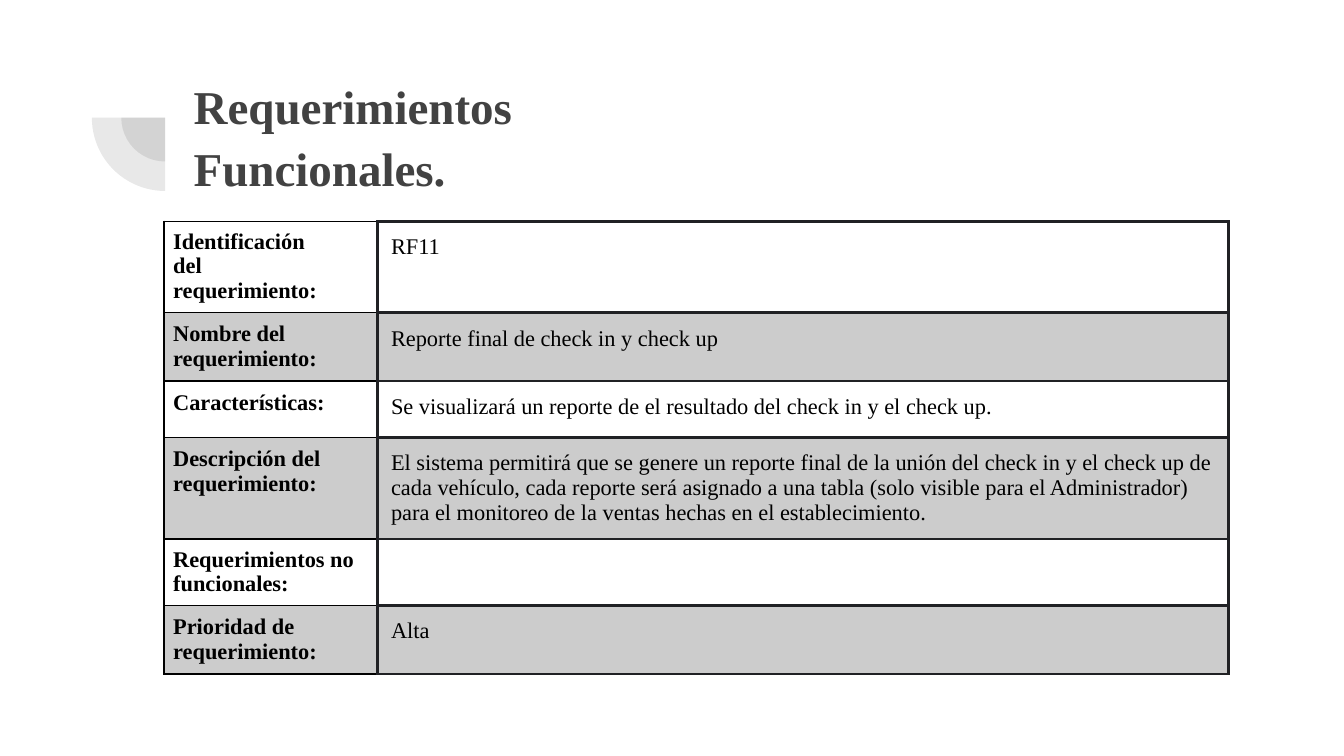
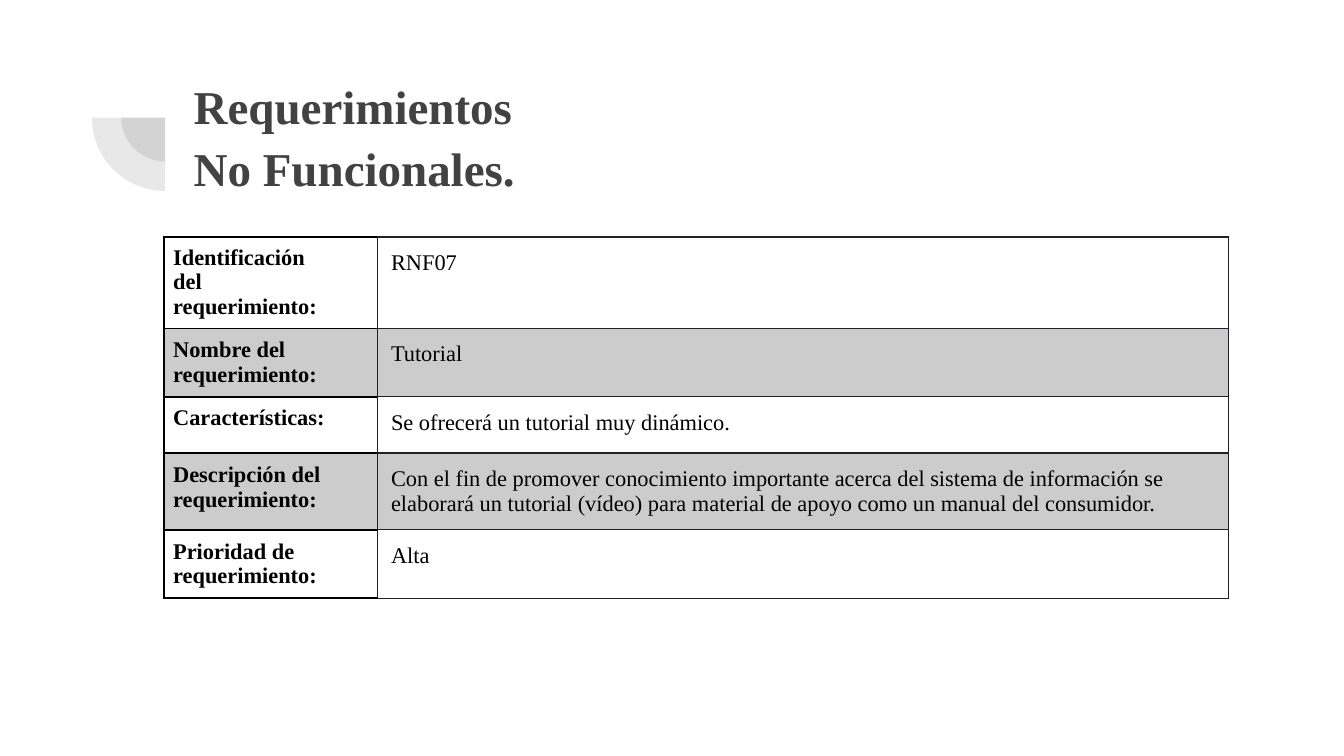
from lxml import etree
from pptx import Presentation
from pptx.dml.color import RGBColor
from pptx.enum import shapes, text
from pptx.oxml.ns import qn
from pptx.util import Pt

FONT = "Times New Roman"
DARK, GRAY, WHITE, BLACK, LINE = "424242", "CCCCCC", "FFFFFF", "000000", "202124"
COLUMN_WIDTHS = (114.5, 455.8)
CELL_INSETS = (5, 7.2)
ROW_HEIGHT = 30.2
PIE_CENTER = (88.5, 63)
TIGHT = 0.96

ID_LABEL = "Identificación\vdel\nrequerimiento:"
NAME_LABEL = "Nombre del\nrequerimiento:"
FEATURES_LABEL = "Características:"
DESCRIPTION_LABEL = "Descripción del requerimiento:"
NON_FUNCTIONAL_LABEL = "Requerimientos no funcionales:"
PRIORITY_LABEL = "Prioridad de\nrequerimiento:"
TIGHT_LABELS = (ID_LABEL, NON_FUNCTIONAL_LABEL)

# Border widths: column divider, then the remaining lines of the value column
requirements = [
    {
        "title": "Requerimientos\nFuncionales.",
        "top": 118.6,
        "divider": 1.5,
        "value_line": 1.5,
        "rows": [
            (ID_LABEL, "RF11"),
            (NAME_LABEL, "Reporte final de check in y check up"),
            (FEATURES_LABEL, "Se visualizará un reporte de el resultado del check in y el check up."),
            (DESCRIPTION_LABEL,
             "El sistema permitirá que se genere un reporte final de la unión del check in "
             "y el check up de cada vehículo, cada reporte será asignado a una tabla (solo "
             "visible para el Administrador) para el monitoreo de la ventas hechas en el "
             "establecimiento."),
            (NON_FUNCTIONAL_LABEL, ""),
            (PRIORITY_LABEL, "Alta"),
        ],
    },
    {
        "title": "Requerimientos\nNo Funcionales.",
        "top": 127,
        "divider": 1,
        "value_line": 0.75,
        "rows": [
            (ID_LABEL, "RNF07"),
            (NAME_LABEL, "Tutorial"),
            (FEATURES_LABEL, "Se ofrecerá un tutorial muy dinámico."),
            (DESCRIPTION_LABEL,
             "Con el fin de promover conocimiento importante acerca del sistema de "
             "información se elaborará un tutorial (vídeo) para material de apoyo como un "
             "manual del consumidor."),
            (PRIORITY_LABEL, "Alta"),
        ],
    },
]


def paint(color_format, color):
    color_format.rgb = RGBColor.from_string(color)


def add_borders(cell, borders):
    """Add (color, width) lines in the order left, right, top, bottom; call before filling."""
    properties = cell._tc.get_or_add_tcPr()
    for side, (color, width) in zip("LRTB", borders):
        line = etree.SubElement(properties, qn(f"a:ln{side}"), w=str(Pt(width)))
        fill = etree.SubElement(line, qn("a:solidFill"))
        etree.SubElement(fill, qn("a:srgbClr"), val=color)


presentation = Presentation()
presentation.slide_width, presentation.slide_height = Pt(720), Pt(405)
title_only = presentation.slide_layouts[5]

for requirement in requirements:
    slide = presentation.slides.add_slide(title_only)

    # Two overlapping translucent quarter circles beside the title
    for diameter in (47, 78.6):
        left, top = (center - diameter / 2 for center in PIE_CENTER)
        pie = slide.shapes.add_shape(
            shapes.MSO_SHAPE.PIE, Pt(left), Pt(top), Pt(diameter), Pt(diameter))
        pie.rotation = 270
        pie.adjustments[0], pie.adjustments[1] = 108, 162
        pie.shadow.inherit = False
        pie.line.fill.background()
        pie.fill.solid()
        paint(pie.fill.fore_color, DARK)
        color = pie.fill._xPr.find(qn("a:solidFill"))[0]
        etree.SubElement(color, qn("a:alpha"), val="12000")

    title = slide.shapes.title
    title.left, title.top, title.width, title.height = Pt(96.5), Pt(34), Pt(553.7), Pt(78.5)
    frame = title.text_frame
    frame.text = requirement["title"]
    frame.auto_size = text.MSO_AUTO_SIZE.NONE
    frame.vertical_anchor = text.MSO_ANCHOR.MIDDLE
    frame.margin_left = frame.margin_right = frame.margin_top = frame.margin_bottom = Pt(7.2)
    for paragraph in frame.paragraphs:
        paragraph.alignment = text.PP_ALIGN.LEFT
        paragraph.font.name, paragraph.font.size, paragraph.font.bold = FONT, Pt(25.2), True
        paint(paragraph.font.color, DARK)
    frame.paragraphs[1].space_before = Pt(2.7)

    rows = requirement["rows"]
    table = slide.shapes.add_table(
        len(rows), 2, Pt(87.8), Pt(requirement["top"]),
        Pt(sum(COLUMN_WIDTHS)), Pt(ROW_HEIGHT * len(rows))).table
    table.first_row = table.horz_banding = False
    for column, width in zip(table.columns, COLUMN_WIDTHS):
        column.width = Pt(width)

    divider = (LINE, requirement["divider"])
    label_line = (BLACK, 1)
    value_line = (LINE, requirement["value_line"])
    column_borders = (
        (label_line, divider, label_line, label_line),
        (divider, value_line, value_line, value_line),
    )
    for row_index, row in enumerate(rows):
        table.rows[row_index].height = Pt(ROW_HEIGHT)
        for column_index, content in enumerate(row):
            cell = table.cell(row_index, column_index)
            add_borders(cell, column_borders[column_index])
            cell.fill.solid()
            paint(cell.fill.fore_color, GRAY if row_index % 2 else WHITE)
            inset = Pt(CELL_INSETS[column_index])
            cell.margin_left = cell.margin_right = inset
            cell.margin_top = cell.margin_bottom = inset
            cell.text_frame.text = content
            for paragraph in cell.text_frame.paragraphs:
                paragraph.font.name, paragraph.font.size = FONT, Pt(12)
                paragraph.font.bold = column_index == 0
                paint(paragraph.font.color, BLACK)
            if content in TIGHT_LABELS:
                cell.text_frame.paragraphs[0].line_spacing = TIGHT

presentation.save("out.pptx")
